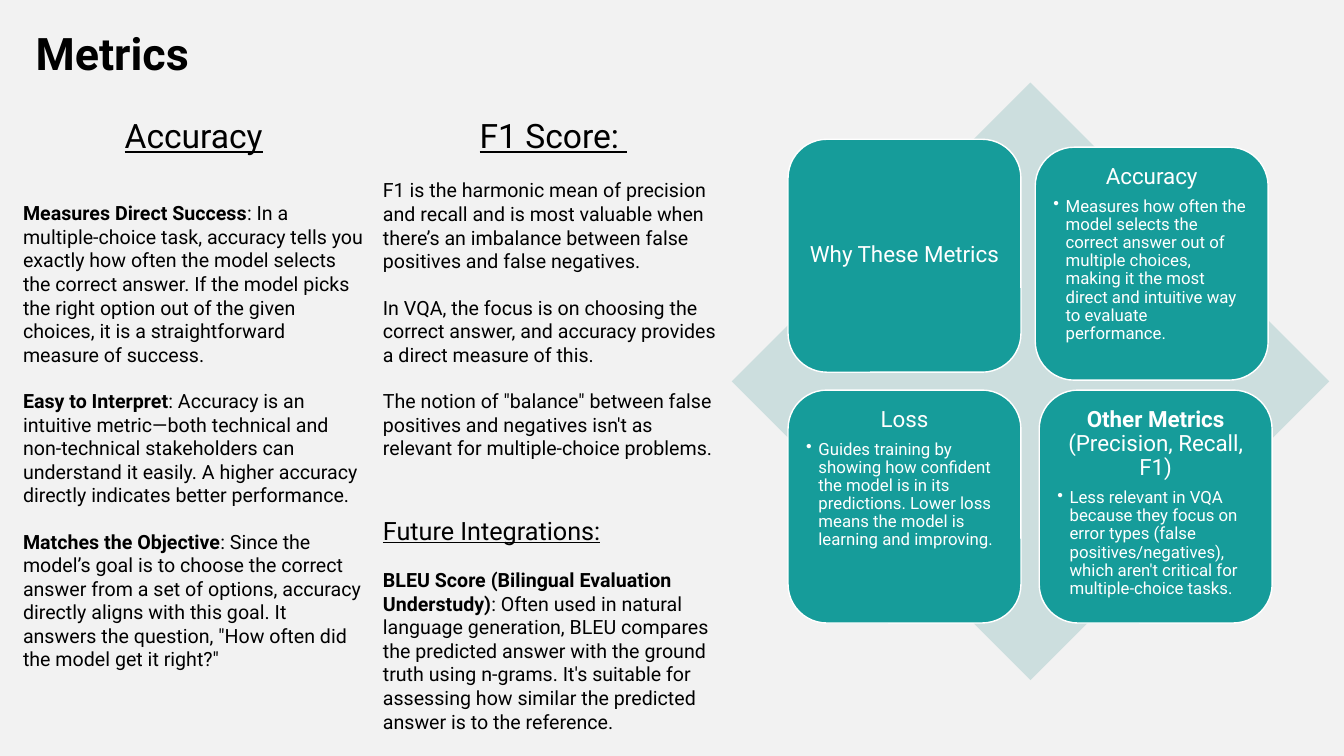
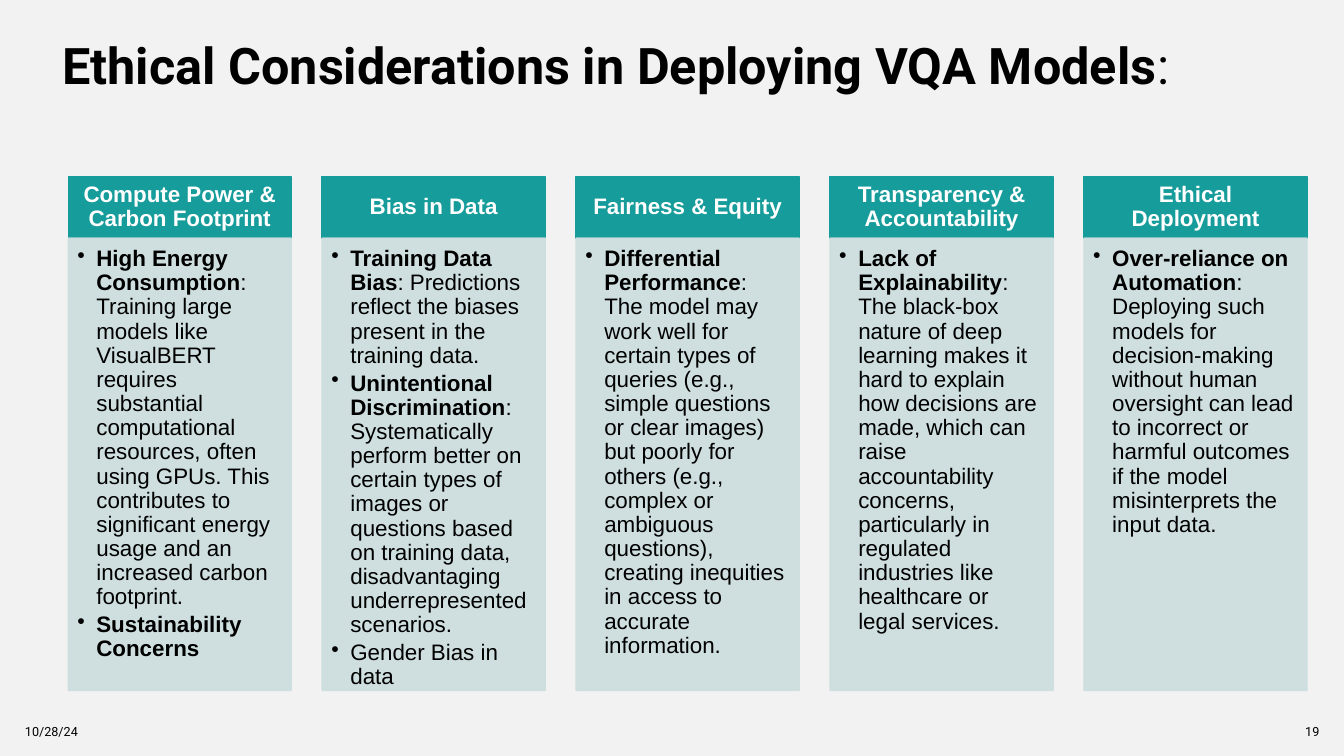
"""Build two slides on the metrics and the ethics of VQA models."""
from lxml import etree
from pptx import Presentation
from pptx import util as u
from pptx.dml.color import RGBColor
from pptx.enum import shapes, text
from pptx.oxml import ns

TEAL = RGBColor(0x16, 0x9C, 0x9A)
PALE = RGBColor(0xCC, 0xDE, 0xDE)
GREY = RGBColor(0xF2, 0xF2, 0xF2)
WHITE = RGBColor(0xFF, 0xFF, 0xFF)
BLACK = RGBColor(0, 0, 0)
LEFT, MID, RIGHT = text.PP_ALIGN.LEFT, text.PP_ALIGN.CENTER, text.PP_ALIGN.RIGHT
TOP, HALF = text.MSO_ANCHOR.TOP, text.MSO_ANCHOR.MIDDLE
KIND = shapes.MSO_SHAPE


def write(shape, words, size=14, font="Roboto", color=BLACK, align=LEFT,
          line=1.0, gap=0, under=False, indent=0):
    """Add one paragraph; words between asterisks are bold."""
    frame = shape.text_frame
    para = frame.add_paragraph() if frame.text else frame.paragraphs[0]
    para.alignment = align
    para.line_spacing = line
    para.space_before = u.Pt(0)
    para.space_after = u.Pt(gap)
    props = para._p.get_or_add_pPr()
    props.set("marL", str(u.Cm(indent)))
    props.set("indent", str(-u.Cm(indent)))
    if indent:
        etree.SubElement(props, ns.qn("a:buChar")).set("char", "•")
    else:
        etree.SubElement(props, ns.qn("a:buNone"))
    for i, part in enumerate(words.split("*")):
        if part:
            run = para.add_run()
            run.text = part
            run.font.size = u.Pt(size)
            run.font.name = font
            run.font.color.rgb = color
            run.font.bold = i % 2 == 1
            run.font.underline = under


def place(shape, spot, fill=None, edge=None, anchor=TOP, pads=(0.25, 0.13, 0.25, 0.13)):
    """Set the bounds, the paint and the text frame of a shape."""
    shape.left, shape.top, shape.width, shape.height = map(u.Cm, spot)
    if fill is not None:
        shape.shadow.inherit = False
        shape.fill.solid()
        shape.fill.fore_color.rgb = fill
        if edge is None:
            shape.line.fill.background()
        else:
            shape.line.color.rgb = edge
            shape.line.width = u.Pt(1)
    frame = shape.text_frame
    frame.word_wrap = True
    frame.auto_size = text.MSO_AUTO_SIZE.NONE
    frame.vertical_anchor = anchor
    frame.margin_left, frame.margin_top, frame.margin_right, frame.margin_bottom = map(u.Cm, pads)
    return shape


deck = Presentation()
deck.slide_width, deck.slide_height = u.Cm(33.87), u.Cm(19.05)
paint = deck.slide_master.background.fill
paint.solid()
paint.fore_color.rgb = GREY

heads = [
    (3, "*Metrics*", 32, (0.65, 0.66, 30.2, 2.1)),
    (5, "*Ethical Considerations in Deploying VQA Models*:", 36, (1.32, 0.89, 29.6, 3.15)),
]
for kind, words, size, spot in heads:
    slide = deck.slides.add_slide(deck.slide_layouts[kind])
    write(place(slide.shapes.title, spot), words, size=size, line=0.9)
first, last = deck.slides

place(first.shapes.add_shape(KIND.DIAMOND, 0, 0, 0, 0), (18.44, 2.08, 15.06, 15.06), PALE)
cards = [
    (19.86, 3.51, "Why These Metrics", ""),
    (26.09, 3.71, "Accuracy",
     "Measures how often the model selects the correct answer out of multiple choices, "
     "making it the most direct and intuitive way to evaluate performance."),
    (19.86, 9.83, "Loss",
     "Guides training by showing how confident the model is in its predictions. "
     "Lower loss means the model is learning and improving."),
    (26.19, 9.83, "*Other Metrics* (Precision, Recall, F1)",
     "Less relevant in VQA because they focus on error types (false positives/negatives), "
     "which aren't critical for multiple-choice tasks."),
]
for x, y, name, note in cards:
    card = place(first.shapes.add_shape(KIND.ROUNDED_RECTANGLE, 0, 0, 0, 0), (x, y, 5.87, 5.87),
                 TEAL, WHITE, TOP if note else HALF, [0.17] * 4)
    write(card, name, size=16, color=WHITE, align=MID, line=0.9, gap=6)
    if note:
        write(card, note, size=12, color=WHITE, line=0.9, indent=0.31)

left, right = list(first.placeholders)[1:]
future = first.shapes.add_textbox(0, 0, 0, 0)
notes = [
    (left, (0.33, 2.77, 9.1, 15.8), "Accuracy", 24, MID, 32.8, [
        "*Measures Direct Success*: In a multiple-choice task, accuracy tells you exactly how often "
        "the model selects the correct answer. If the model picks the right option out of the given "
        "choices, it is a straightforward measure of success.",
        "*Easy to Interpret*: Accuracy is an intuitive metric—both technical and non-technical "
        "stakeholders can understand it easily. A higher accuracy directly indicates better performance.",
        "*Matches the Objective*: Since the model’s goal is to choose the correct answer from a set of "
        "options, accuracy directly aligns with this goal. It answers the question, \"How often did the "
        "model get it right?\""]),
    (right, (9.4, 2.77, 9.1, 10.26), "F1 Score: ", 24, MID, 16.4, [
        "F1 is the harmonic mean of precision and recall and is most valuable when there’s an imbalance "
        "between false positives and false negatives.",
        "In VQA, the focus is on choosing the correct answer, and accuracy provides a direct measure of this.",
        "The notion of \"balance\" between false positives and negatives isn't as relevant for "
        "multiple-choice problems."]),
    (future, (9.4, 12.85, 9.1, 5.82), "Future Integrations:", 18, LEFT, 16.4, [
        "*BLEU Score (Bilingual Evaluation Understudy)*: Often used in natural language generation, BLEU "
        "compares the predicted answer with the ground truth using n-grams. It's suitable for assessing "
        "how similar the predicted answer is to the reference."]),
]
for shape, spot, name, size, align, gap, points in notes:
    place(shape, spot)
    write(shape, name, size=size, align=align, gap=gap, under=True)
    for point in points:
        write(shape, point, gap=16.4)

topics = [
    ("Compute Power & Carbon Footprint", [
        "*High Energy Consumption*: Training large models like VisualBERT requires substantial "
        "computational resources, often using GPUs. This contributes to significant energy usage and an "
        "increased carbon footprint.",
        "*Sustainability Concerns*"]),
    ("Bias in Data", [
        "*Training Data Bias*: Predictions reflect the biases present in the training data.",
        "*Unintentional Discrimination*: Systematically perform better on certain types of images or "
        "questions based on training data, disadvantaging underrepresented scenarios.",
        "Gender Bias in data"]),
    ("Fairness & Equity", [
        "*Differential Performance*: The model may work well for certain types of queries (e.g., simple "
        "questions or clear images) but poorly for others (e.g., complex or ambiguous questions), "
        "creating inequities in access to accurate information."]),
    ("Transparency & Accountability", [
        "*Lack of Explainability*: The black-box nature of deep learning makes it hard to explain how "
        "decisions are made, which can raise accountability concerns, particularly in regulated "
        "industries like healthcare or legal services."]),
    ("Ethical Deployment", [
        "*Over-reliance on Automation*: Deploying such models for decision-making without human "
        "oversight can lead to incorrect or harmful outcomes if the model misinterprets the input data."]),
]
for i, (name, points) in enumerate(topics):
    x = 1.72 + 6.4 * i
    head = place(last.shapes.add_shape(KIND.RECTANGLE, 0, 0, 0, 0), (x, 4.45, 5.62, 1.55),
                 TEAL, TEAL, HALF, (0.3, 0.17, 0.3, 0.17))
    write(head, f"*{name}*", size=16, font="Arial", color=WHITE, align=MID, line=0.9)
    body = place(last.shapes.add_shape(KIND.RECTANGLE, 0, 0, 0, 0), (x, 6, 5.62, 11.4),
                 PALE, PALE, TOP, (0.23, 0.23, 0.3, 0.35))
    for tint in body.element.spPr.iter(ns.qn("a:srgbClr")):
        etree.SubElement(tint, ns.qn("a:alpha")).set("val", "90000")
    for point in points:
        write(body, point, size=16, font="Arial", line=0.9, gap=2.6, indent=0.48)

for words, x, width, align in [("10/28/24", 0.38, 9.7, LEFT), ("19", 32.3, 1.2, RIGHT)]:
    foot = place(last.shapes.add_textbox(0, 0, 0, 0), (x, 17.93, width, 1.02), anchor=HALF)
    write(foot, words, size=9, align=align)

deck.save("out.pptx")
